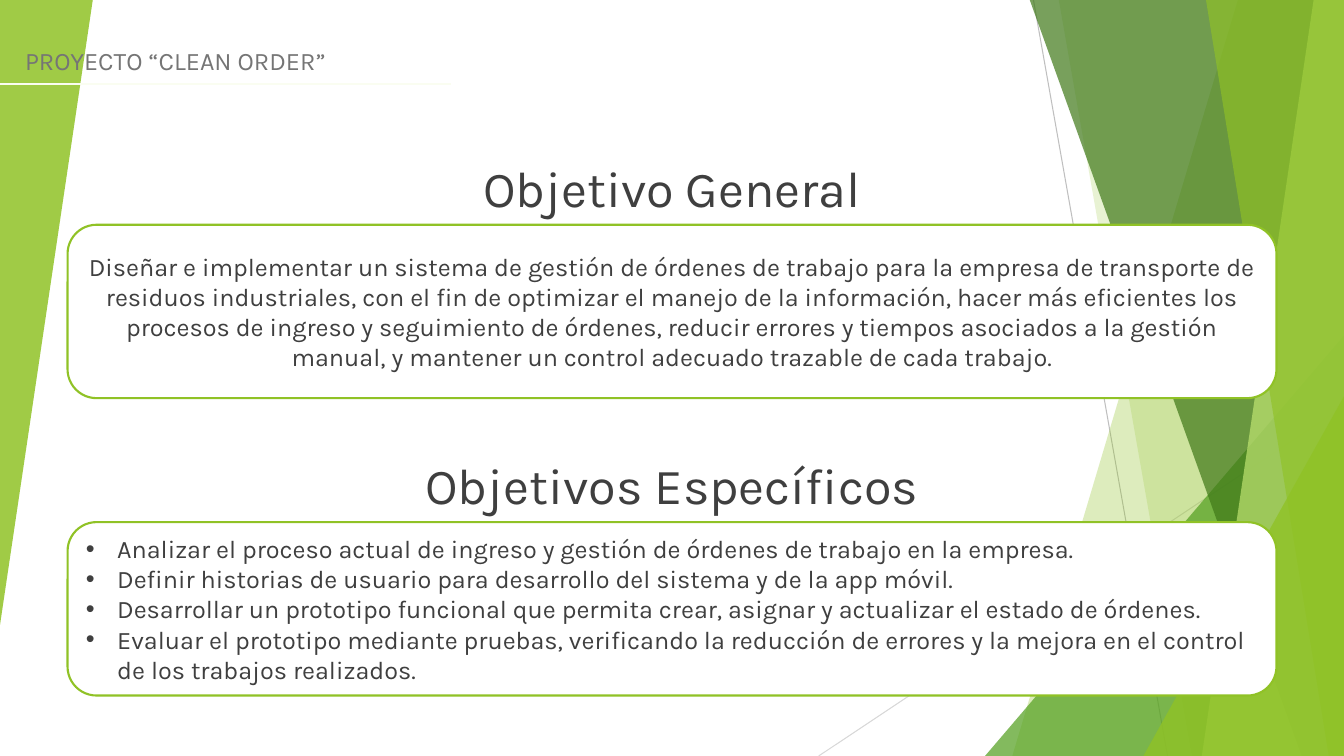
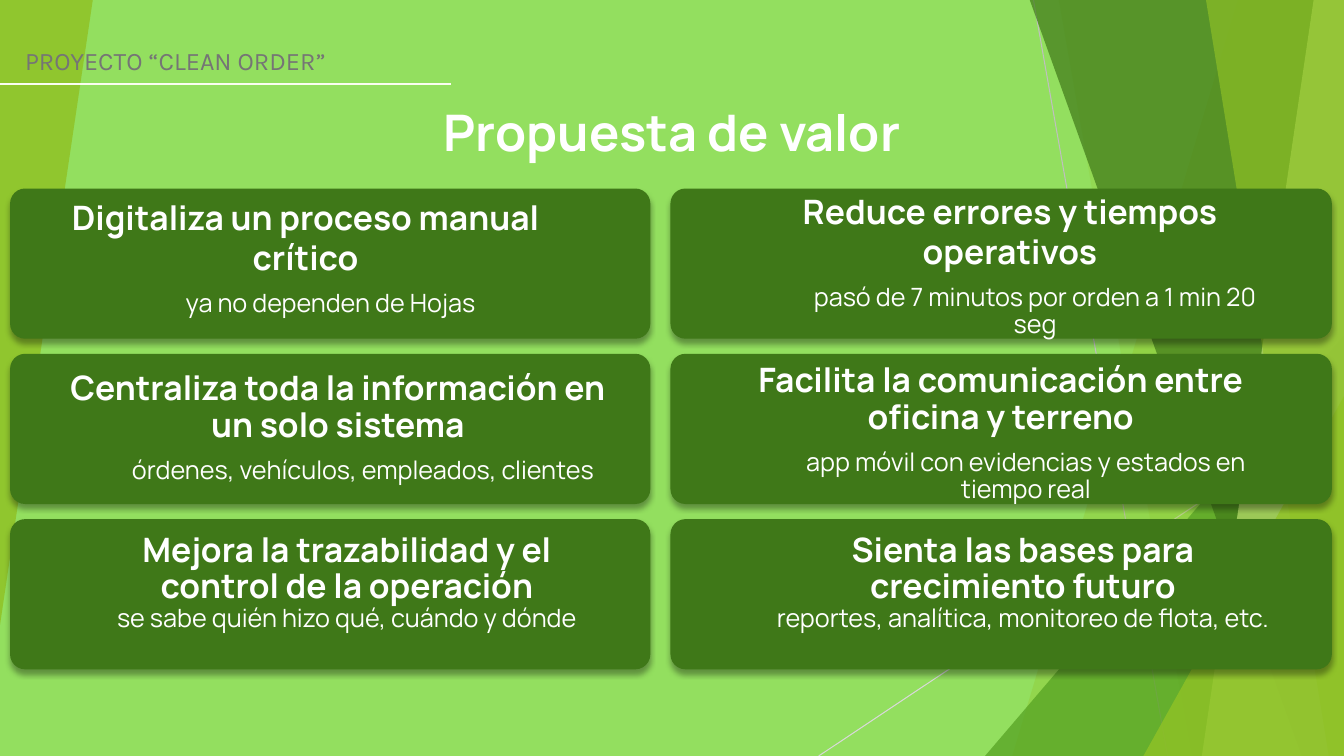
from lxml.etree import SubElement
from pptx import Presentation
from pptx.dml.color import RGBColor
from pptx.enum.shapes import MSO_CONNECTOR, MSO_SHAPE
from pptx.enum.text import MSO_ANCHOR, MSO_AUTO_SIZE, PP_ALIGN
from pptx.oxml.ns import qn
from pptx.util import Inches, Pt

WHITE = RGBColor(0xFF, 0xFF, 0xFF)
MINT = RGBColor(0x93, 0xDF, 0x5F)
LIME = RGBColor(0x90, 0xC2, 0x26)
PALE_LIME = RGBColor(0xBF, 0xE4, 0x71)
GREEN = RGBColor(0x54, 0xA0, 0x21)
DARK_GREEN = RGBColor(0x3F, 0x78, 0x18)
CREAM = RGBColor(0xFA, 0xFD, 0xF1)
INK = RGBColor(0x3F, 0x3F, 0x3F)
GRAY = RGBColor(0x75, 0x75, 0x75)
SILVER = RGBColor(0xBF, 0xBF, 0xBF)
PALE_GRAY = RGBColor(0xD8, 0xD8, 0xD8)

WIDTH, HEIGHT = 13.33, 7.5
HEADER = "PROYECTO “CLEAN ORDER”"
RAYS = [((10.25, 0), (11.58, HEIGHT), SILVER), ((WIDTH, 4.03), (8.12, HEIGHT), PALE_GRAY)]
FACETS = [
    ("band", (12.28, 10.04), LIME, 30),
    ("band", (10.5, 11.82), LIME, 20),
    ("triangle", (9.77, 3.33, 3.56, 4.17, 0), GREEN, 72),
    ("band", (10.21, 12.91), DARK_GREEN, 70),
    ("band", (13.03, 11.92), PALE_LIME, 70),
    ("band", (11.96, 13.18), LIME, 65),
    ("triangle", (11.34, 3.93, 1.99, 3.57, 0), LIME, 80),
    ("triangle", (0, 0, 0.92, 6.2, 180), LIME, 85),
]

OBJECTIVES = [
    (1.51, 2.23, "Objetivo General", False, [
        "Diseñar e implementar un sistema de gestión de órdenes de trabajo para la empresa de "
        "transporte de residuos industriales, con el fin de optimizar el manejo de la información, "
        "hacer más eficientes los procesos de ingreso y seguimiento de órdenes, reducir errores y "
        "tiempos asociados a la gestión manual, y mantener un control adecuado trazable de cada trabajo.",
    ]),
    (4.46, 5.18, "Objetivos Específicos", True, [
        "Analizar el proceso actual de ingreso y gestión de órdenes de trabajo en la empresa.",
        "Definir historias de usuario para desarrollo del sistema y de la app móvil.",
        "Desarrollar un prototipo funcional que permita crear, asignar y actualizar el estado de órdenes.",
        "Evaluar el prototipo mediante pruebas, verificando la reducción de errores y la mejora en el "
        "control de los trabajos realizados.",
    ]),
]

VALUE_TITLE = "Propuesta de valor"
CARD_TOP, CARD_STEP, CARD_HEIGHT = 1.87, 1.64, 1.49
ROW_STYLES = [
    ({}, {"indent": 0.5, "line_spacing": 0.9, "space_before": Pt(9.4)}),
    ({"line_spacing": 0.9}, {"indent": 0.5, "line_spacing": 0.9, "space_before": Pt(9.4)}),
    ({"line_spacing": 0.9}, {"line_spacing": 0.9}),
]
CARD_COLUMNS = [
    (0.1, 6.35, [
        ((0.55, 1.84, 4.96), "Digitaliza un proceso manual crítico", "ya no dependen de Hojas"),
        ((0.51, 3.58, 5.68), "Centraliza toda la información en un solo sistema",
         "órdenes, vehículos, empleados, clientes"),
        ((0.96, 5.18, 4.96), "Mejora la trazabilidad y el control de la operación",
         "se sabe quién hizo qué, cuándo y dónde"),
    ]),
    (6.65, 6.56, [
        ((7.27, 1.78, 5.49), "Reduce errores y tiempos operativos",
         "pasó de 7 minutos por orden a 1 min 20 seg"),
        ((7.36, 3.5, 5.13), "Facilita la comunicación entre oficina y terreno",
         "app móvil con evidencias y estados en tiempo real"),
        ((7.58, 5.18, 5.13), "Sienta las bases para crecimiento futuro",
         "reportes, analítica, monitoreo de flota, etc."),
    ]),
]

HEADER_FONT = {"name": "Karla", "size": Pt(18), "color": GRAY}
HEADING_FONT = {"name": "Karla", "size": Pt(36), "color": INK}
BODY_FONT = {"name": "Karla", "size": Pt(18), "color": INK}
VALUE_FONT = {"name": "Manrope", "size": Pt(36), "bold": True, "color": WHITE}
CARD_FONT = {"name": "Manrope", "size": Pt(24), "bold": True, "color": WHITE}
DETAIL_FONT = {"name": "Manrope", "size": Pt(18), "bold": False, "color": WHITE}
CENTER = {"alignment": PP_ALIGN.CENTER}


def apply(target, values):
    for key, value in values.items():
        setattr(target, key, value)


def set_bullet(p, color):
    pPr = p._p.get_or_add_pPr()
    pPr.set("marL", str(Inches(0.31)))
    pPr.set("indent", str(-Inches(0.31)))
    SubElement(SubElement(pPr, qn("a:buClr")), qn("a:srgbClr"), val=str(color))
    SubElement(pPr, qn("a:buFont"), typeface="Arial")
    SubElement(pPr, qn("a:buChar"), char="•")


def write(tf, paragraphs, inset=(0.1, 0.05), **frame):
    tf.word_wrap = True
    tf.margin_left = tf.margin_right = Inches(inset[0])
    tf.margin_top = tf.margin_bottom = Inches(inset[1])
    apply(tf, frame)
    for i, (text, font, style) in enumerate(paragraphs):
        p = tf.paragraphs[0] if i == 0 else tf.add_paragraph()
        style = dict(style)
        indent, bullet = style.pop("indent", 0), style.pop("bullet", False)
        if bullet:
            set_bullet(p, font["color"])
        if indent:
            p.level = 1
            p._p.get_or_add_pPr().set("marL", str(Inches(indent)))
            p._p.get_or_add_pPr().set("indent", "0")
        apply(p, style)
        r = p.add_run()
        r.text = text
        apply(r.font, {k: v for k, v in font.items() if k != "color"})
        r.font.color.rgb = font["color"]


def add_text(shapes, box, paragraphs, **options):
    tb = shapes.add_textbox(*map(Inches, box))
    write(tb.text_frame, paragraphs, **options)


def add_line(shapes, start, end, color, width):
    line = shapes.add_connector(MSO_CONNECTOR.STRAIGHT, *map(Inches, start + end))
    line.line.color.rgb = color
    line.line.width = Pt(width)
    SubElement(line._element.spPr, qn("a:effectLst"))


def add_facet(shapes, kind, geometry, color, alpha):
    if kind == "band":
        top, bottom = geometry
        corners = [(top, -0.01), (WIDTH, -0.01), (WIDTH, HEIGHT), (bottom, HEIGHT)]
        points = [(Inches(x), Inches(y)) for x, y in corners]
        builder = shapes.build_freeform(*points[0])
        builder.add_line_segments(points[1:], close=True)
        sp = builder.convert_to_shape()
    else:
        sp = shapes.add_shape(MSO_SHAPE.ISOSCELES_TRIANGLE, *map(Inches, geometry[:4]))
        sp.adjustments[0] = 1
        sp.rotation = geometry[4]
    sp.shadow.inherit = False
    sp.line.fill.background()
    sp.fill.solid()
    sp.fill.fore_color.rgb = color
    clr = sp._element.spPr.find(qn("a:solidFill")).find(qn("a:srgbClr"))
    SubElement(clr, qn("a:alpha"), val=str(alpha * 1000))


def add_panel(shapes, box, fill, radius, outline=None):
    sp = shapes.add_shape(MSO_SHAPE.ROUNDED_RECTANGLE, *map(Inches, box))
    sp.shadow.inherit = False
    sp.adjustments[0] = radius
    sp.fill.solid()
    sp.fill.fore_color.rgb = fill
    if outline is None:
        sp.line.fill.background()
    else:
        sp.line.color.rgb = outline
        sp.line.width = Pt(1.5)
    return sp


def add_drop_shadow(sp):
    effects = sp._element.spPr.find(qn("a:effectLst"))
    shadow = SubElement(effects, qn("a:outerShdw"), blurRad=str(Pt(4)), dist=str(Pt(3)),
                        dir="5400000", algn="t", rotWithShape="0")
    clr = SubElement(shadow, qn("a:srgbClr"), val="000000")
    SubElement(clr, qn("a:alpha"), val="35000")


def new_slide(prs, background):
    s = prs.slides.add_slide(prs.slide_layouts[6])
    s.background.fill.solid()
    s.background.fill.fore_color.rgb = background
    decor = s.shapes.add_group_shape().shapes
    for start, end, color in RAYS:
        add_line(decor, start, end, color, 0.75)
    for facet in FACETS:
        add_facet(decor, *facet)
    add_text(s.shapes, (0.15, 0.4, 13, 0.4), [(HEADER, HEADER_FONT, {})],
             auto_size=MSO_AUTO_SIZE.SHAPE_TO_FIT_TEXT)
    add_line(s.shapes, (0, 0.83), (4.47, 0.83), CREAM, 1.25)
    return s


def build_objectives(prs):
    s = new_slide(prs, WHITE)
    for heading_top, panel_top, heading, bulleted, texts in OBJECTIVES:
        add_text(s.shapes, (0, heading_top, WIDTH, 0.71), [(heading, HEADING_FONT, CENTER)],
                 auto_size=MSO_AUTO_SIZE.SHAPE_TO_FIT_TEXT)
        panel = add_panel(s.shapes, (0.67, panel_top, 11.99, 1.72), WHITE, 0.167, LIME)
        style = {"bullet": True, "alignment": PP_ALIGN.LEFT} if bulleted else CENTER
        write(panel.text_frame, [(text, BODY_FONT, style) for text in texts],
              vertical_anchor=MSO_ANCHOR.MIDDLE)


def build_value(prs):
    s = new_slide(prs, MINT)
    add_text(s.shapes, (3.97, 0.81, 5.39, 0.81),
             [(VALUE_TITLE, VALUE_FONT, {**CENTER, "line_spacing": 1.15})],
             inset=(0.1, 0.1), auto_size=MSO_AUTO_SIZE.SHAPE_TO_FIT_TEXT)
    for left, width, cards in CARD_COLUMNS:
        column = s.shapes.add_group_shape().shapes
        for row, (place, title, detail) in enumerate(cards):
            top = CARD_TOP + row * CARD_STEP
            add_drop_shadow(add_panel(column, (left, top, width, CARD_HEIGHT), DARK_GREEN, 0.1))
            title_style, detail_style = ROW_STYLES[row]
            add_text(column, (*place, CARD_HEIGHT),
                     [(title, CARD_FONT, {**CENTER, **title_style}),
                      (detail, DETAIL_FONT, {**CENTER, **detail_style})],
                     inset=(0.11, 0.11))


def main():
    prs = Presentation()
    prs.slide_width, prs.slide_height = Inches(WIDTH), Inches(HEIGHT)
    build_objectives(prs)
    build_value(prs)
    prs.save("out.pptx")


if __name__ == "__main__":
    main()
